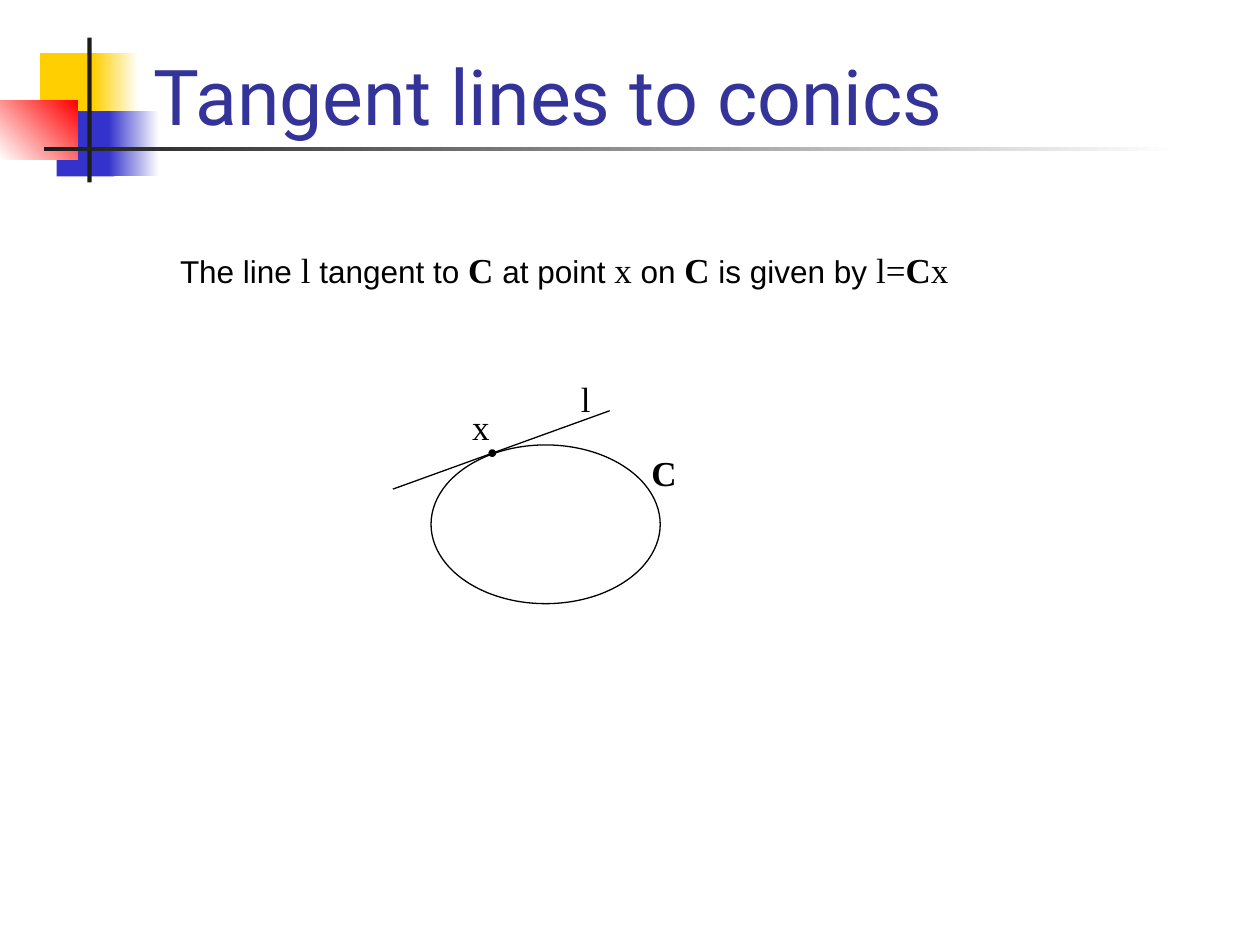
from dataclasses import dataclass

from pptx import Presentation
from pptx.dml.color import RGBColor
from pptx.enum.shapes import MSO_CONNECTOR, MSO_SHAPE
from pptx.enum.text import MSO_ANCHOR, MSO_AUTO_SIZE, PP_ALIGN
from pptx.oxml.ns import qn
from pptx.util import Cm, Pt
from lxml.etree import SubElement


@dataclass(frozen=True)
class Theme:
    yellow: str = "FFCF01"
    blue: str = "3333CC"
    red: str = "FF0000"
    dark: str = "1C1C1C"
    white: str = "FFFFFF"
    black: str = "000000"
    title_color: str = "333399"
    title_font: str = "Roboto"
    body_font: str = "Arial"
    math_font: str = "Times New Roman"
    title_size: int = 44
    body_size: int = 18
    math_size: int = 20
    line_width: float = 0.75


def add_text(paragraph, text, *, font, size, color, bold=False):
    run = paragraph.add_run()
    run.text = text
    run.font.name = font
    run.font.size = Pt(size)
    run.font.bold = bold
    run.font.color.rgb = RGBColor.from_string(color)


class SlideBuilder:
    def __init__(self, slide, theme):
        self.slide = slide
        self.theme = theme

    def outline(self, line):
        line.color.rgb = RGBColor.from_string(self.theme.black)
        line.width = Pt(self.theme.line_width)

    def block(self, left, top, width, height, *colors, angle=0):
        """Borderless rectangle: one colour is solid, two make a gradient."""
        shape = self.slide.shapes.add_shape(
            MSO_SHAPE.RECTANGLE, Cm(left), Cm(top), Cm(width), Cm(height))
        shape.shadow.inherit = False
        shape.line.fill.background()
        if len(colors) == 1:
            shape.fill.solid()
            shape.fill.fore_color.rgb = RGBColor.from_string(colors[0])
        else:
            shape.fill.gradient()
            shape.fill.gradient_angle = angle
            for stop, color in zip(shape.fill.gradient_stops, colors):
                stop.color.rgb = RGBColor.from_string(color)

    def ellipse(self, left, top, width, height, fill=None):
        shape = self.slide.shapes.add_shape(
            MSO_SHAPE.OVAL, Cm(left), Cm(top), Cm(width), Cm(height))
        shape.shadow.inherit = False
        self.outline(shape.line)
        if fill:
            shape.fill.solid()
            shape.fill.fore_color.rgb = RGBColor.from_string(fill)
        else:
            shape.fill.background()

    def line(self, x1, y1, x2, y2):
        connector = self.slide.shapes.add_connector(
            MSO_CONNECTOR.STRAIGHT, Cm(x1), Cm(y1), Cm(x2), Cm(y2))
        self.outline(connector.line)
        SubElement(connector.element.spPr, qn("a:effectLst"))

    def title(self, text, left, top, width, height):
        title = self.slide.shapes.title
        title.left, title.top = Cm(left), Cm(top)
        title.width, title.height = Cm(width), Cm(height)
        frame = title.text_frame
        frame.auto_size = MSO_AUTO_SIZE.NONE
        frame.vertical_anchor = MSO_ANCHOR.BOTTOM
        paragraph = frame.paragraphs[0]
        paragraph.alignment = PP_ALIGN.LEFT
        add_text(paragraph, text, font=self.theme.title_font,
                 size=self.theme.title_size, color=self.theme.title_color)
        # Bring the title in front of the decoration
        title.element.getparent().append(title.element)

    def text(self, pieces, left, top, width, height=1.12, wrap=False):
        """Text box from (text, style) pairs: body, math or bold math."""
        theme = self.theme
        box = self.slide.shapes.add_textbox(
            Cm(left), Cm(top), Cm(width), Cm(height))
        frame = box.text_frame
        frame.word_wrap = wrap
        frame.auto_size = MSO_AUTO_SIZE.SHAPE_TO_FIT_TEXT
        for text, style in pieces:
            is_body = style == "body"
            add_text(frame.paragraphs[0], text,
                     font=theme.body_font if is_body else theme.math_font,
                     size=theme.body_size if is_body else theme.math_size,
                     color=theme.black, bold=style == "bold")


def main():
    theme = Theme()
    presentation = Presentation()
    presentation.slide_width, presentation.slide_height = Cm(25.4), Cm(19.05)
    slide = presentation.slides.add_slide(presentation.slide_layouts[5])
    builder = SlideBuilder(slide, theme)

    # Corner decoration and title rule
    builder.block(0.81, 1.07, 1.22, 1.32, theme.yellow)
    builder.block(1.88, 1.07, 0.91, 1.32, theme.yellow, theme.white)
    builder.block(1.14, 2.24, 1.17, 1.32, theme.blue)
    builder.block(2.18, 2.24, 1.02, 1.32, theme.blue, theme.white)
    builder.block(0, 2.03, 1.57, 1.18, theme.white, theme.red, angle=45)
    builder.block(1.76, 0.76, 0.09, 2.92, theme.dark)
    builder.block(0.89, 2.97, 22.86, 0.08, theme.dark, theme.white)

    # Title and statement
    builder.title("Tangent lines to conics", 2.84, 0.46, 18.59, 2.51)
    builder.text([("The line ", "body"), ("l", "math"),
                  (" tangent to ", "body"), ("C", "bold"),
                  (" at point ", "body"), ("x", "math"),
                  (" on ", "body"), ("C", "bold"),
                  (" is given by ", "body"), ("l=", "math"),
                  ("C", "bold"), ("x", "math")],
                 3.38, 4.88, 18.03, wrap=True)

    # Conic with its tangent line and point of contact
    builder.ellipse(8.69, 8.97, 4.62, 3.2)
    builder.line(7.92, 9.86, 12.29, 8.28)
    builder.text([("l", "math")], 11.46, 7.49, 0.69)
    builder.ellipse(9.86, 9.07, 0.13, 0.13, fill=theme.black)
    builder.text([("x", "math")], 9.27, 8.05, 0.86)
    builder.text([("C", "bold")], 12.88, 8.97, 1.02)

    presentation.save("out.pptx")


if __name__ == "__main__":
    main()
